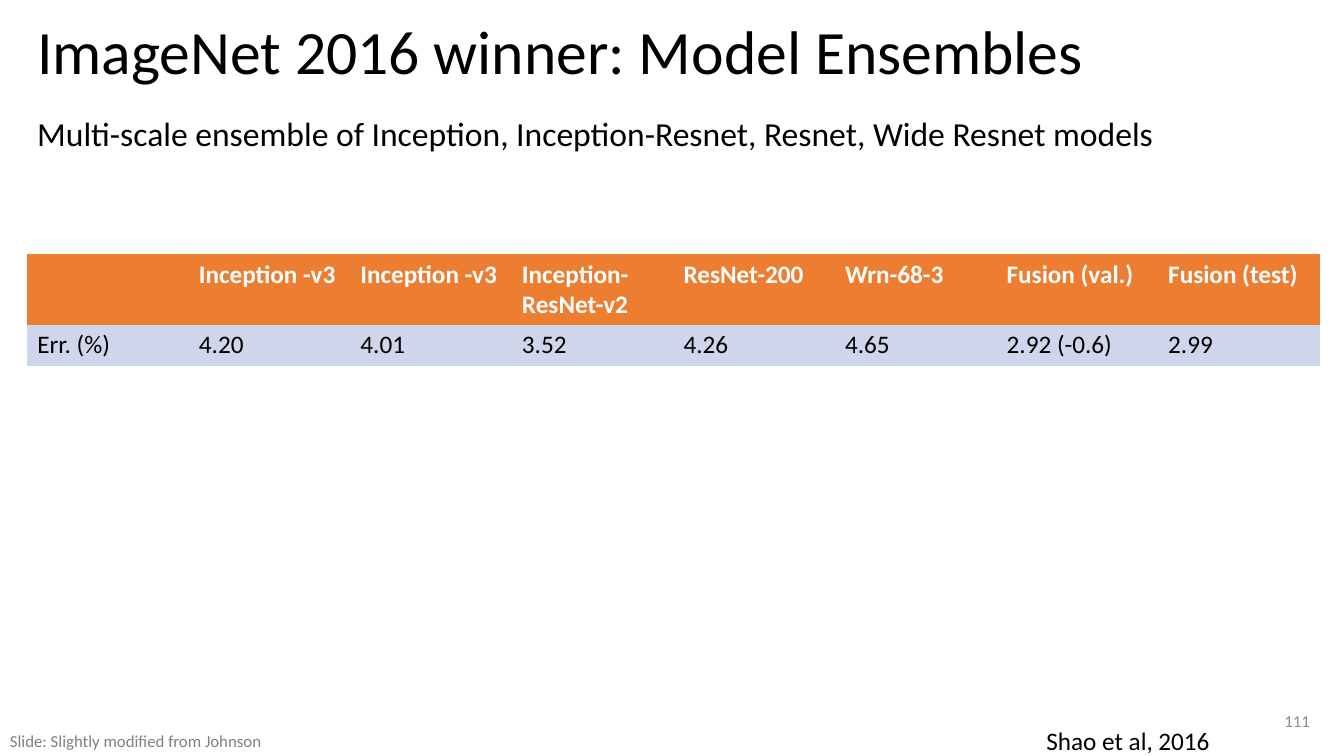
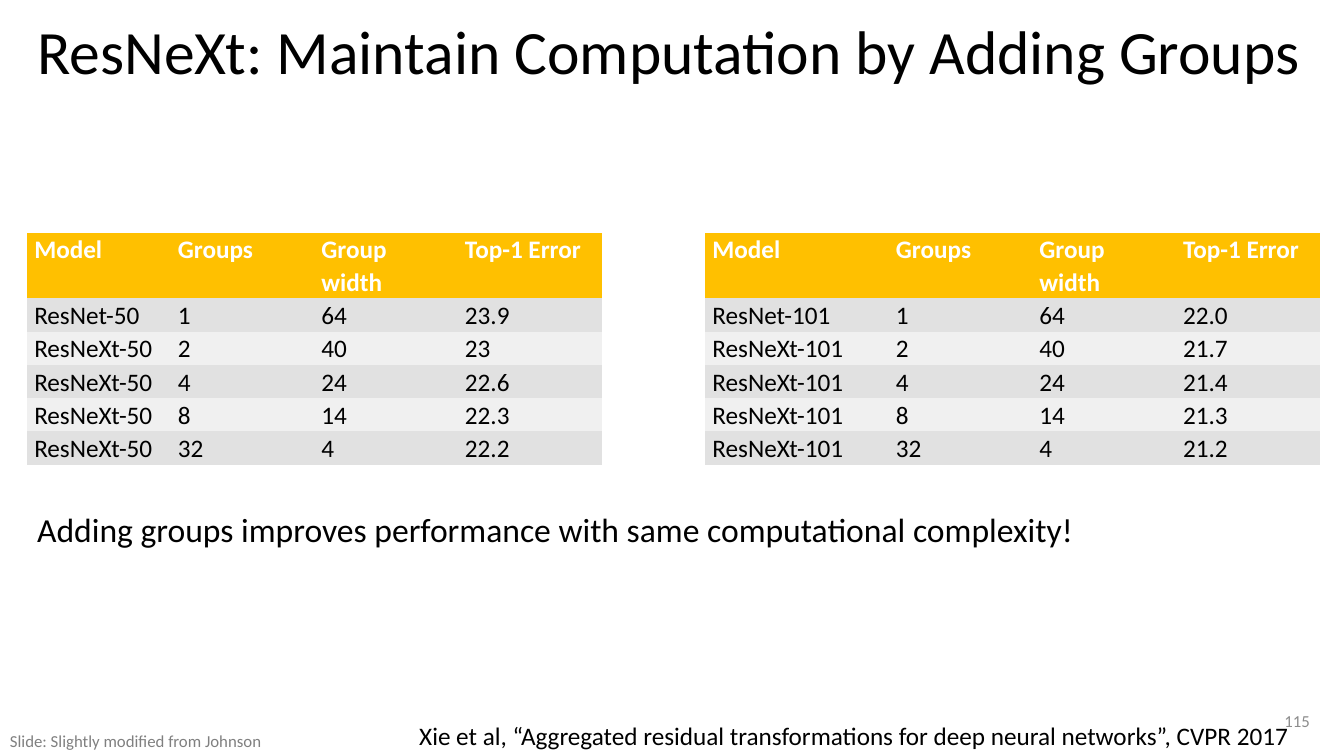
from pptx import Presentation
from pptx.dml.color import RGBColor
from pptx.enum.text import MSO_ANCHOR, PP_ALIGN
from pptx.oxml.ns import qn
from pptx.util import Inches, Pt

LEFT, RIGHT = PP_ALIGN.LEFT, PP_ALIGN.RIGHT
TOP, MIDDLE = MSO_ANCHOR.TOP, MSO_ANCHOR.MIDDLE

FONT = "Calibri"
BLACK, WHITE, GRAY, LIGHT_GRAY = "000000", "FFFFFF", "808080", "8C8C8C"
ORANGE, GOLD, BLUE = "ED7D31", "FFC000", "CFD5EA"
BANDS = ("E1E1E1", "F0F0F0")
PLAIN_TABLE = "{2D5ABB26-0587-4C30-8999-92F81FD0307C}"

MARGIN, CONTENT_WIDTH = 0.27, 12.82
CREDIT = "Slide: Slightly modified from Johnson"

ENSEMBLE_ROWS = [
    ["", "Inception -v3", "Inception -v3", "Inception-ResNet-v2", "ResNet-200",
     "Wrn-68-3", "Fusion (val.)", "Fusion (test)"],
    ["Err. (%)", "4.20", "4.01", "3.52", "4.26", "4.65", "2.92 (-0.6)", "2.99"],
]

GROUP_HEADER = ["Model", "Groups", "Group width", "Top-1 Error"]
GROUP_SETTINGS = [("1", "64"), ("2", "40"), ("4", "24"), ("8", "14"), ("32", "4")]
TOP_1_ERRORS = {
    "50": ["23.9", "23", "22.6", "22.3", "22.2"],
    "101": ["22.0", "21.7", "21.4", "21.3", "21.2"],
}
GAP_COLUMN = len(GROUP_HEADER)
GAP_WIDTH, WIDE_MODEL_WIDTH = 1.03, 1.82


def color(value):
    return RGBColor.from_string(value)


def write(frame, text, size=18, fill=BLACK, bold=False, align=LEFT, spacing=None):
    paragraph = frame.paragraphs[0]
    paragraph.alignment = align
    if spacing:
        paragraph.line_spacing = spacing
    if text:
        run = paragraph.add_run()
        run.text = text
        run.font.color.rgb = color(fill)
        run.font.name = FONT
        run.font.size = Pt(size)
        run.font.bold = bold


def add_text(slide, text, left, top, width, height, anchor=TOP, wrap=True, **style):
    shape = slide.shapes.add_textbox(*map(Inches, (left, top, width, height)))
    shape.text_frame.word_wrap = wrap
    shape.text_frame.vertical_anchor = anchor
    write(shape.text_frame, text, **style)


def add_table(slide, rows, top, widths, heights, header_fill, bands,
              gap=None, side_inset=0.1, edge_inset=0.05, spacing=None):
    frame = slide.shapes.add_table(
        len(rows), len(widths), Inches(MARGIN), Inches(top),
        Inches(CONTENT_WIDTH), Inches(sum(heights)))
    table = frame.table
    table.horz_banding = False
    table._tbl.tblPr.find(qn("a:tableStyleId")).text = PLAIN_TABLE
    for column, width in zip(table.columns, widths):
        column.width = Inches(width)
    for row, height in zip(table.rows, heights):
        row.height = Inches(height)
    for row_index, row in enumerate(rows):
        header = row_index == 0
        row_fill = header_fill if header else bands[(row_index - 1) % len(bands)]
        for column_index, text in enumerate(row):
            cell = table.cell(row_index, column_index)
            cell.margin_left = cell.margin_right = Inches(side_inset)
            cell.margin_top = cell.margin_bottom = Inches(edge_inset)
            if column_index == gap:
                cell.fill.background()
            else:
                cell.fill.solid()
                cell.fill.fore_color.rgb = color(row_fill)
            write(cell.text_frame, text, fill=WHITE if header else BLACK,
                  bold=header, spacing=spacing)


def add_slide(presentation, title, number):
    slide = presentation.slides.add_slide(presentation.slide_layouts[6])
    add_text(slide, title, MARGIN, 0.15, CONTENT_WIDTH, 0.78,
             anchor=MIDDLE, size=44, spacing=0.9)
    add_text(slide, number, 12.53, 6.95, 0.56, 0.4,
             anchor=MIDDLE, size=12, fill=LIGHT_GRAY, align=RIGHT)
    add_text(slide, CREDIT, 0, 7.2, 2.72, 0.3, wrap=False, size=12, fill=GRAY)
    return slide


def add_ensemble_slide(presentation):
    slide = add_slide(presentation, "ImageNet 2016 winner: Model Ensembles", "111")
    add_text(slide, "Multi-scale ensemble of Inception, Inception-Resnet, Resnet, "
             "Wide Resnet models", MARGIN, 1.07, CONTENT_WIDTH, 0.5, size=24)
    columns = len(ENSEMBLE_ROWS[0])
    add_table(slide, ENSEMBLE_ROWS, 2.52, [CONTENT_WIDTH / columns] * columns,
              [0.7, 0.41], ORANGE, [BLUE])
    add_text(slide, "Shao et al, 2016", 10.28, 7.15, 1.84, 0.4, wrap=False)


def group_rows():
    rows = [GROUP_HEADER + [""] + GROUP_HEADER]
    for index, setting in enumerate(GROUP_SETTINGS):
        family = "ResNeXt" if index else "ResNet"
        left, right = ([f"{family}-{depth}", *setting, errors[index]]
                       for depth, errors in TOP_1_ERRORS.items())
        rows.append(left + [""] + right)
    return rows


def add_groups_slide(presentation):
    slide = add_slide(presentation, "ResNeXt: Maintain Computation by Adding Groups", "115")
    rows = group_rows()
    regular = (CONTENT_WIDTH - GAP_WIDTH - WIDE_MODEL_WIDTH) / (len(rows[0]) - 2)
    widths = [regular] * len(rows[0])
    widths[GAP_COLUMN] = GAP_WIDTH
    widths[GAP_COLUMN + 1] = WIDE_MODEL_WIDTH
    add_table(slide, rows, 2.31, widths, [0.65] + [0.33] * len(GROUP_SETTINGS),
              GOLD, BANDS, gap=GAP_COLUMN, side_inset=0.07, edge_inset=0, spacing=1.07)
    add_text(slide, "Adding groups improves performance with same computational "
             "complexity!", MARGIN, 5, 11.34, 0.5, size=24)
    add_text(slide, "Xie et al, “Aggregated residual transformations for deep neural "
             "networks”, CVPR 2017", 4.06, 7.1, 9.27, 0.4)


def main():
    presentation = Presentation()
    presentation.slide_width = Inches(13.33)
    presentation.slide_height = Inches(7.5)
    add_ensemble_slide(presentation)
    add_groups_slide(presentation)
    presentation.save("out.pptx")


if __name__ == "__main__":
    main()
